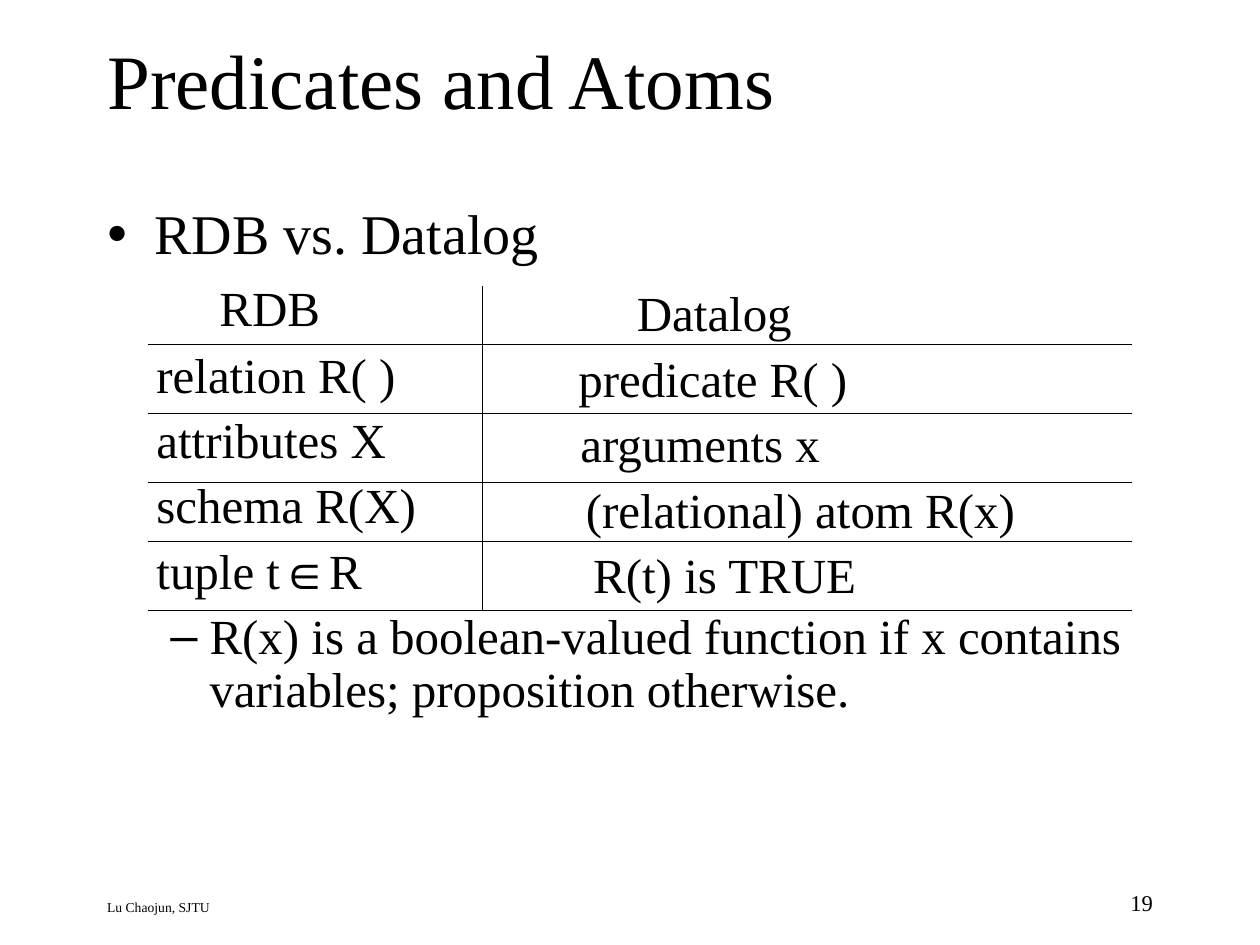
from dataclasses import dataclass

from lxml.etree import SubElement
from pptx import Presentation
from pptx.dml.color import RGBColor
from pptx.enum.shapes import MSO_CONNECTOR
from pptx.enum.text import MSO_ANCHOR, MSO_AUTO_SIZE, PP_ALIGN
from pptx.oxml.ns import qn
from pptx.util import Cm, Pt


@dataclass(frozen=True)
class Theme:
    ink: RGBColor = RGBColor(0, 0, 0)
    face: str = "Times New Roman"
    math: str = "Arial"
    title: float = 44
    head: float = 32
    text: float = 28
    page: float = 12.9
    foot: float = 7.8
    rule: float = 0.75


THEME = Theme()

# Left runs and indent (cm), right text and indent (cm), space before (pt)
ROWS = [
    (["RDB"], 2.26, "Datalog", 2.86, 10),
    (["relation R( )"], 0.99, "predicate R( )", 1.68, 8),
    (["attributes X"], 0.99, "arguments x", 1.72, 7),
    (["schema R(X)"], 0.99, "(relational) atom R(x)", 1.83, 7),
    (["tuple t", "∈", "R"], 0.99, "R(t) is TRUE", 1.98, 7),
]
LEFT, RIGHT, SPLIT, TOP = 2.98, 22.81, 9.73, 5.77
RULES = [6.94, 8.33, 9.73, 10.92, 12.31]


def place(shape, left, top, width, height):
    shape.left, shape.top = Cm(left), Cm(top)
    shape.width, shape.height = Cm(width), Cm(height)


def style(para, size):
    font = para.font
    font.name, font.size = THEME.face, Pt(size)
    font.color.rgb = THEME.ink


def space(para, before, left, hang=0):
    para.line_spacing, para.space_before = 0.9, Pt(before)
    props = para._p.get_or_add_pPr()
    props.set("marL", str(Cm(left)))
    props.set("indent", str(Cm(-hang)))
    return props


def add_item(para, text, size, mark, before, left, hang, level=0):
    para.text, para.level = text, level
    props = space(para, before, left, hang)
    SubElement(props, qn("a:buChar")).set("char", mark)
    style(para, size)


def add_cell(para, parts, left, before):
    SubElement(space(para, before, left), qn("a:buNone"))
    style(para, THEME.text)
    for part in parts:
        run = para.add_run()
        run.text = part
        if part == "∈":
            run.font.name = THEME.math


def add_box(slide, *box):
    frame = slide.shapes.add_textbox(*map(Cm, box)).text_frame
    frame.word_wrap = True
    return frame


def add_note(slide, text, box, size, align):
    para = add_box(slide, *box).paragraphs[0]
    para.text, para.alignment = text, align
    style(para, size)


def add_rule(slide, *ends):
    line = slide.shapes.add_connector(MSO_CONNECTOR.STRAIGHT, *map(Cm, ends))
    line.line.color.rgb, line.line.width = THEME.ink, Pt(THEME.rule)
    SubElement(line._element.spPr, qn("a:effectLst"))


def fill_title(title):
    place(title, 1.91, 0, 21.59, 3.18)
    frame = title.text_frame
    frame.text = "Predicates and Atoms"
    frame.vertical_anchor = MSO_ANCHOR.MIDDLE
    frame.auto_size = MSO_AUTO_SIZE.NONE
    para = frame.paragraphs[0]
    para.alignment = PP_ALIGN.LEFT
    style(para, THEME.title)


def fill_body(body):
    place(body, 1.91, 4.03, 21.59, 12.9)
    frame = body.text_frame
    frame.auto_size = MSO_AUTO_SIZE.NONE
    frame.vertical_anchor = MSO_ANCHOR.TOP
    add_item(frame.paragraphs[0], "RDB vs. Datalog", THEME.head,
             "•", 8, 0.95, 0.95)
    for parts, left, _, _, before in ROWS:
        add_cell(frame.add_paragraph(), parts, left, before)
    add_item(frame.add_paragraph(),
             "R(x) is a boolean-valued function if x contains variables; "
             "proposition otherwise.", THEME.text, "–", 7, 2.06, 0.79, 1)


def fill_right(frame):
    for i, (_, _, text, left, before) in enumerate(ROWS):
        para = frame.add_paragraph() if i else frame.paragraphs[0]
        add_cell(para, [text], left, before if i else 0)
    # The top line sets the baseline, so it keeps its full height
    frame.paragraphs[0].line_spacing = 1.0


def main():
    deck = Presentation()
    deck.slide_width, deck.slide_height = Cm(25.4), Cm(19.05)
    slide = deck.slides.add_slide(deck.slide_layouts[1])

    # Title, left column and right column
    fill_title(slide.shapes.title)
    fill_body(slide.placeholders[1])
    fill_right(add_box(slide, SPLIT, 5.57, RIGHT - SPLIT, 6.7))

    # Page number and footer
    add_note(slide, "19", (18.21, 17.79, 5.28, 0.84), THEME.page,
             PP_ALIGN.RIGHT)
    add_note(slide, "Lu Chaojun, SJTU", (1.91, 17.99, 14.73, 0.64),
             THEME.foot, PP_ALIGN.LEFT)

    # Rules between rows and columns
    for y in RULES:
        add_rule(slide, LEFT, y, RIGHT, y)
    add_rule(slide, SPLIT, TOP, SPLIT, RULES[-1])

    deck.save("out.pptx")


if __name__ == "__main__":
    main()
